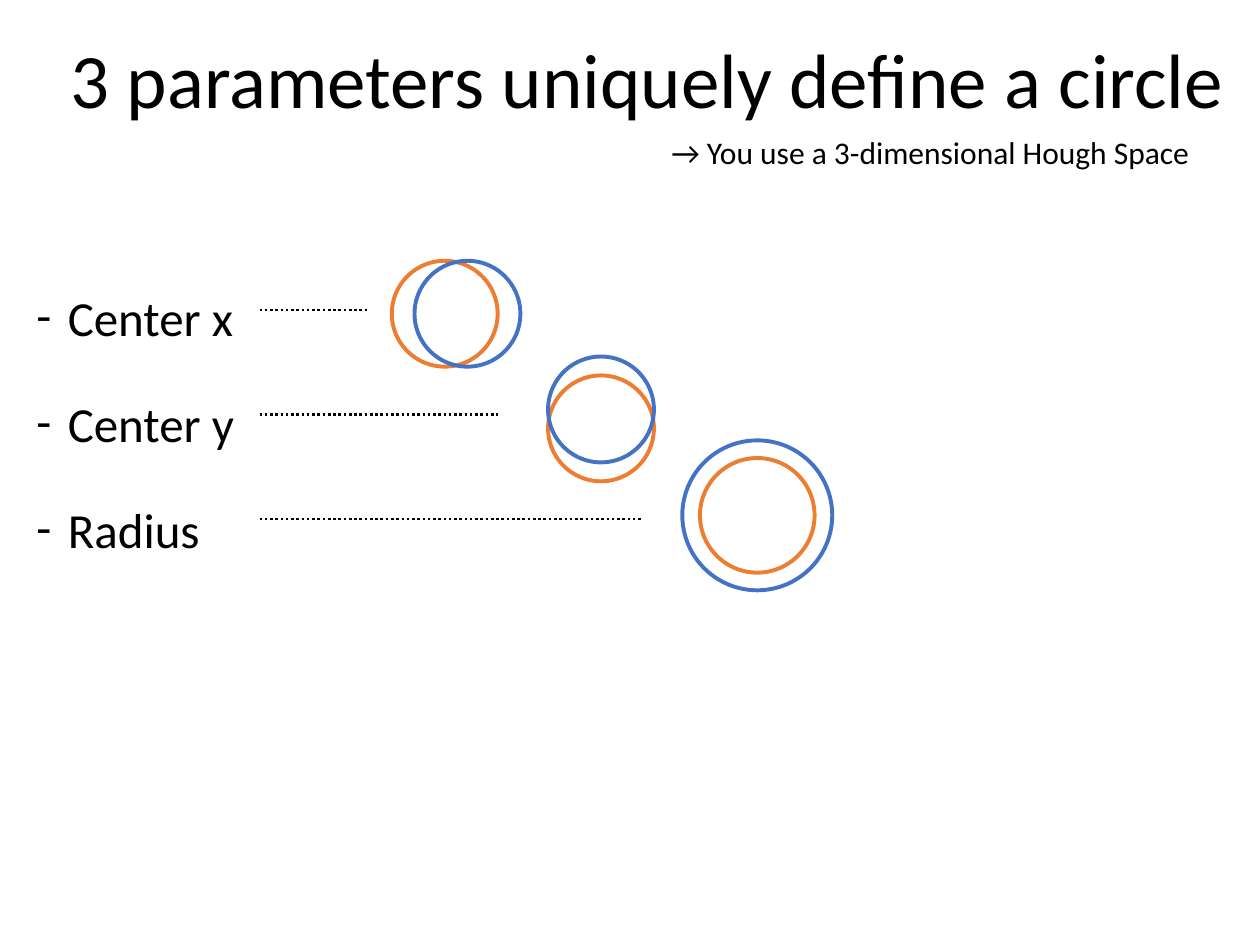
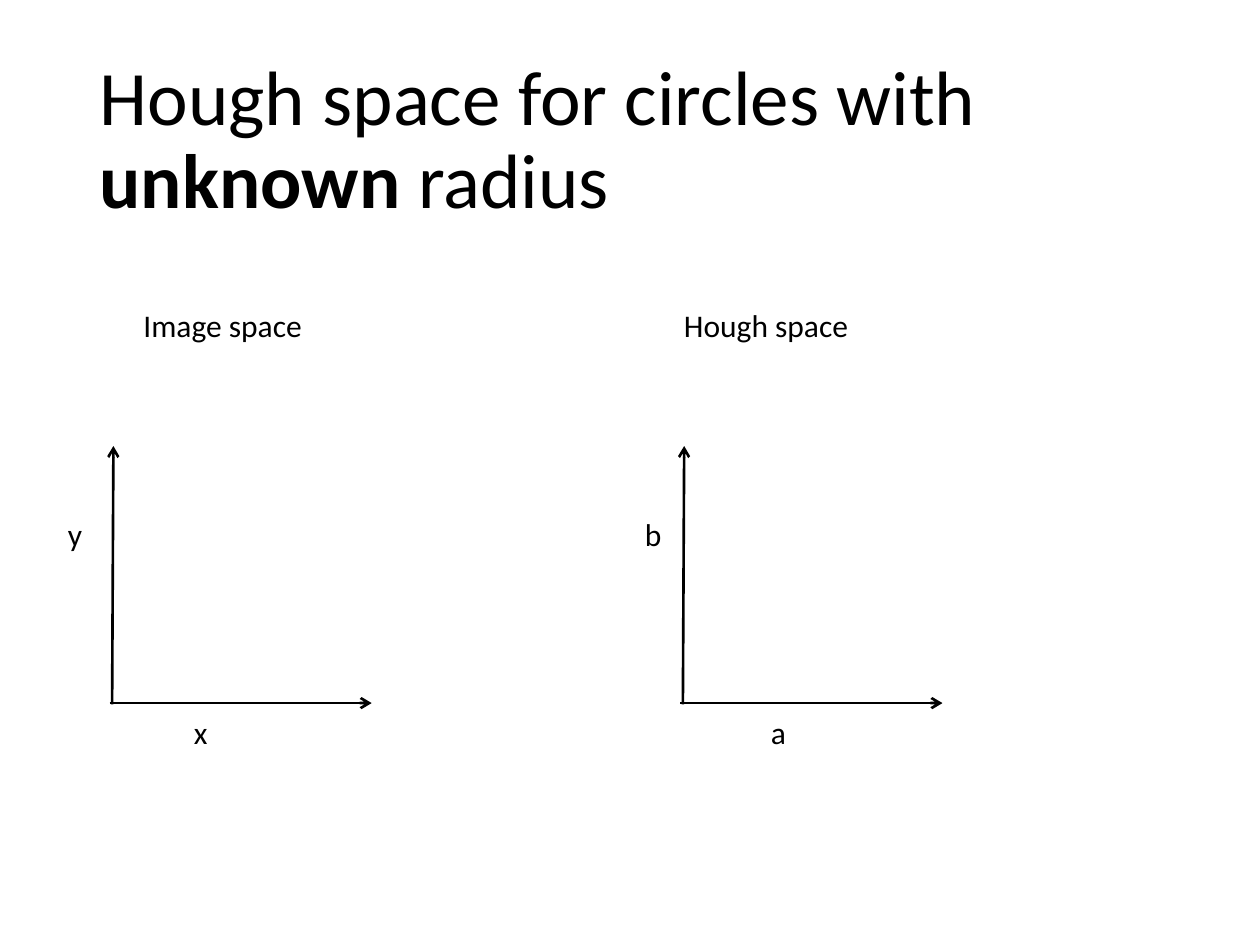
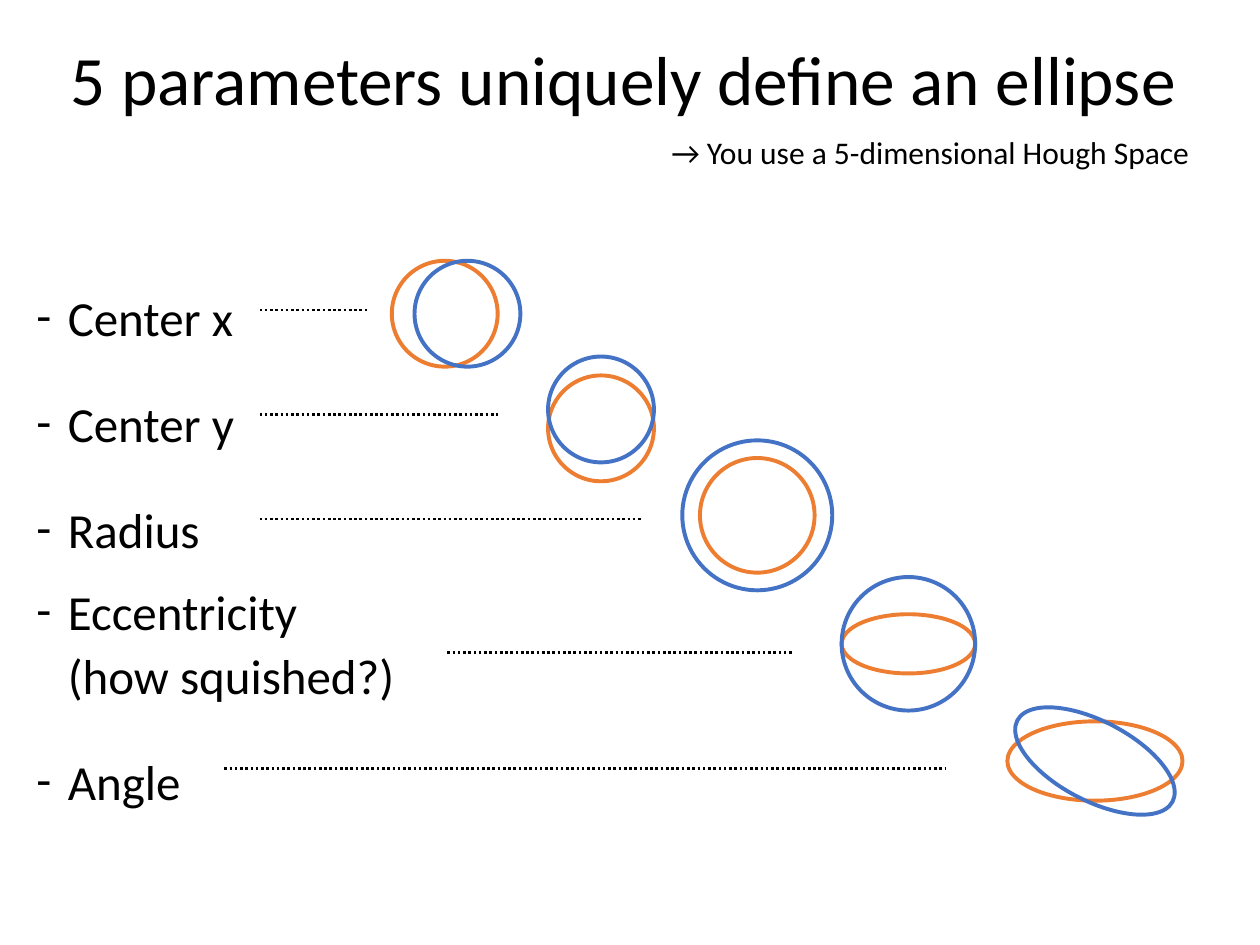
"""Build three slides on Hough spaces for circles and ellipses."""
from lxml.etree import SubElement
from pptx import Presentation
from pptx.dml.color import RGBColor
from pptx.enum.dml import MSO_LINE
from pptx.enum.shapes import MSO_CONNECTOR, MSO_SHAPE
from pptx.enum.text import MSO_ANCHOR, MSO_AUTO_SIZE, PP_ALIGN
from pptx.oxml.ns import qn
from pptx.util import Inches, Pt

FONT = "Calibri"
BLACK = RGBColor(0x00, 0x00, 0x00)
ORANGE = RGBColor(0xED, 0x7D, 0x31)
BLUE = RGBColor(0x44, 0x72, 0xC4)

SLIDE_WIDTH, SLIDE_HEIGHT = 10, 7.5
LABEL_HEIGHT = 0.4
PARAMETER_TITLE = (0.46, 0.08, 9.54, 1.16)
HOUGH_TITLE = (0.69, 0.4, 8.62, 1.45)
PARAMETER_LIST = (0.19, 2, 9.12, 4.76)
CONCLUSION = (5.23, 1.01, 4.39, LABEL_HEIGHT)

# Ellipses are (center x, center y, width, height, rotation), orange then blue.
PARAMETERS = [
    {"text": "Center x", "spacing": 1.5, "leader": (2.06, 2.92, 2.46),
     "ellipses": [(3.53, 2.49, 0.84, 0.84, 0), (3.71, 2.49, 0.84, 0.84, 0)]},
    {"text": "Center y", "spacing": 1.5, "leader": (2.06, 3.95, 3.29),
     "ellipses": [(4.77, 3.4, 0.84, 0.84, 0), (4.77, 3.25, 0.84, 0.84, 0)]},
    {"text": "Radius", "spacing": 1.5, "leader": (2.06, 5.1, 4.12),
     "ellipses": [(6.01, 4.09, 0.91, 0.91, 0), (6.01, 4.09, 1.19, 1.19, 0)]},
    {"text": "Eccentricity\v(how squished?)", "spacing": 1.1, "leader": (3.55, 6.29, 5.18),
     "ellipses": [(7.21, 5.11, 1.06, 0.47, 0), (7.21, 5.11, 1.06, 1.06, 0)]},
    {"text": "Angle", "spacing": 1.5, "leader": (1.78, 7.51, 6.1),
     "ellipses": [(8.69, 6.04, 1.39, 0.63, 0), (8.69, 6.04, 1.39, 0.63, 27.6)]},
]

SPACES = [
    {"heading": "Image space", "heading_left": 1.04, "heading_width": 1.47,
     "axes_left": 0.87, "labels_left": 0.44, "horizontal": "x", "vertical": "y"},
    {"heading": "Hough space", "heading_left": 5.33, "heading_width": 1.52,
     "axes_left": 5.4, "labels_left": 5.02, "horizontal": "a", "vertical": "b"},
]


def format_runs(paragraph, size):
    for run in paragraph.runs:
        run.font.name = FONT
        run.font.size = Pt(size)
        run.font.color.rgb = BLACK


def add_slide(presentation, title_runs, title_box, title_size):
    slide = presentation.slides.add_slide(presentation.slide_layouts[5])
    title = slide.shapes.title
    title.left, title.top, title.width, title.height = map(Inches, title_box)
    frame = title.text_frame
    frame.auto_size = MSO_AUTO_SIZE.NONE
    frame.vertical_anchor = MSO_ANCHOR.MIDDLE
    paragraph = frame.paragraphs[0]
    paragraph.alignment = PP_ALIGN.LEFT
    paragraph.line_spacing = 0.9
    for text, bold in title_runs:
        run = paragraph.add_run()
        run.text = text
        run.font.bold = bold
    format_runs(paragraph, title_size)
    return slide


def add_label(slide, text, box):
    frame = slide.shapes.add_textbox(*map(Inches, box)).text_frame
    frame.word_wrap = False
    frame.auto_size = MSO_AUTO_SIZE.SHAPE_TO_FIT_TEXT
    frame.text = text
    format_runs(frame.paragraphs[0], 18)


def add_line(shapes, start, end, dash=None, arrow=False):
    connector = shapes.add_connector(MSO_CONNECTOR.STRAIGHT, *map(Inches, start + end))
    connector.line.color.rgb = BLACK
    connector.line.width = Pt(1.5)
    if dash is not None:
        connector.line.dash_style = dash
    properties = connector._element.spPr
    if arrow:
        SubElement(properties.find(qn("a:ln")), qn("a:tailEnd"), type="arrow")
    SubElement(properties, qn("a:effectLst"))


def add_ellipse_pair(slide, ellipses):
    group = slide.shapes.add_group_shape()
    for (center_x, center_y, width, height, rotation), color in zip(ellipses, (ORANGE, BLUE)):
        box = (center_x - width / 2, center_y - height / 2, width, height)
        ellipse = group.shapes.add_shape(MSO_SHAPE.OVAL, *map(Inches, box))
        ellipse.rotation = rotation
        ellipse.shadow.inherit = False
        ellipse.fill.background()
        ellipse.line.color.rgb = color
        ellipse.line.width = Pt(2.25)


def add_parameter_list(slide, parameters):
    frame = slide.shapes.add_textbox(*map(Inches, PARAMETER_LIST)).text_frame
    frame.word_wrap = True
    for index, parameter in enumerate(parameters):
        paragraph = frame.add_paragraph() if index else frame.paragraphs[0]
        paragraph.text = parameter["text"]
        paragraph.line_spacing = parameter["spacing"]
        paragraph.space_before = Pt(10 if index else 0)
        properties = paragraph._p.get_or_add_pPr()
        properties.set("marL", str(Inches(0.25)))
        properties.set("indent", str(-Inches(0.25)))
        SubElement(properties, qn("a:buFont"), typeface=FONT)
        SubElement(properties, qn("a:buChar"), char="-")
        format_runs(paragraph, 28)


def add_parameter_slide(presentation, title, title_size, parameters):
    slide = add_slide(presentation, [(title, False)], PARAMETER_TITLE, title_size)
    add_parameter_list(slide, parameters)
    for parameter in parameters:
        add_ellipse_pair(slide, parameter["ellipses"])
        left, right, top = parameter["leader"]
        add_line(slide.shapes, (left, top), (right, top), dash=MSO_LINE.ROUND_DOT)
    add_label(slide, f"→ You use a {len(parameters)}-dimensional Hough Space", CONCLUSION)


def add_space(slide, space):
    add_label(slide, space["heading"],
              (space["heading_left"], 2.38, space["heading_width"], LABEL_HEIGHT))
    axes = slide.shapes.add_group_shape().shapes
    left = space["axes_left"]
    add_line(axes, (left + 0.02, 5.59), (left + 0.03, 3.54), arrow=True)
    add_line(axes, (left, 5.58), (left + 2.08, 5.58), arrow=True)
    label_left = space["labels_left"]
    add_label(slide, space["horizontal"], (label_left + 1, 5.61, 0.32, LABEL_HEIGHT))
    add_label(slide, space["vertical"], (label_left, 4.04, 0.33, LABEL_HEIGHT))


def main():
    presentation = Presentation()
    presentation.slide_width = Inches(SLIDE_WIDTH)
    presentation.slide_height = Inches(SLIDE_HEIGHT)
    add_parameter_slide(presentation, "3 parameters uniquely define a circle", 44, PARAMETERS[:3])
    title_runs = [("Hough space for circles with ", False), ("unknown ", True), ("radius", False)]
    slide = add_slide(presentation, title_runs, HOUGH_TITLE, 44)
    for space in SPACES:
        add_space(slide, space)
    add_parameter_slide(presentation, "5 parameters uniquely define an ellipse", 39.6, PARAMETERS)
    presentation.save("out.pptx")


if __name__ == "__main__":
    main()
